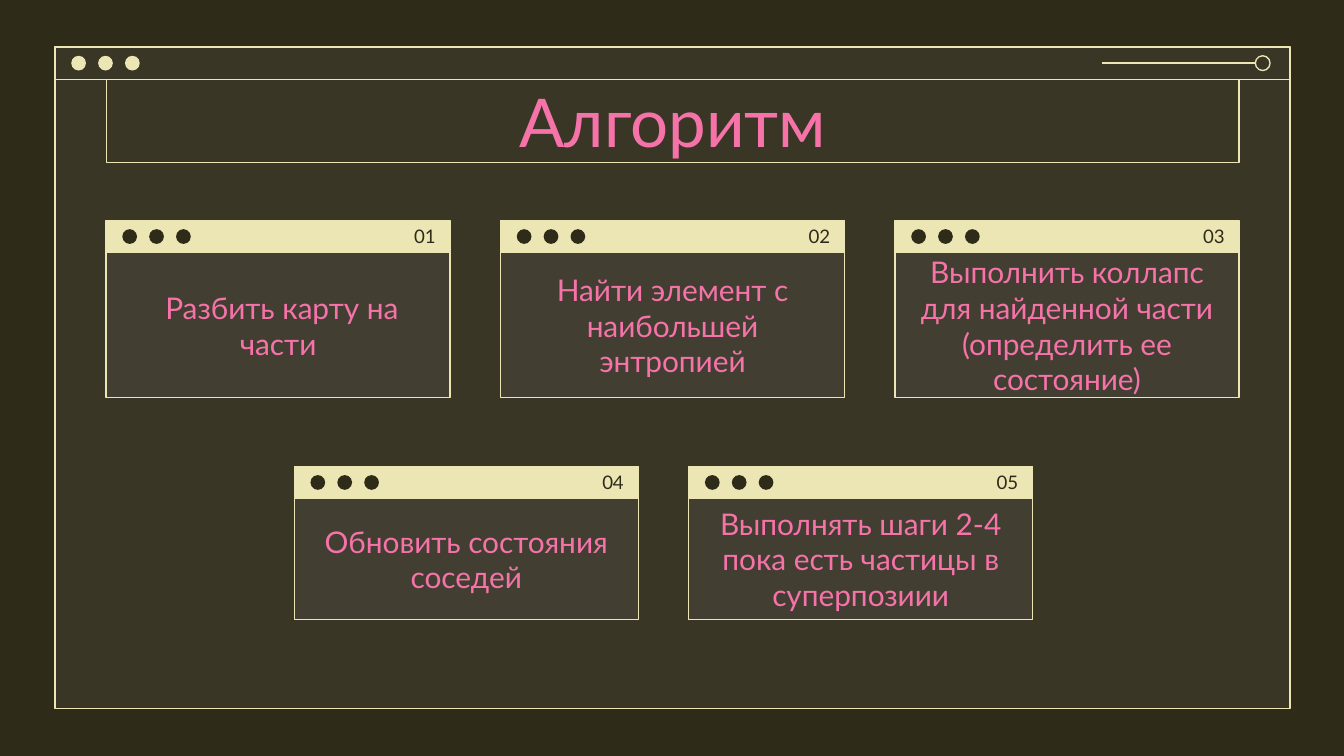
import pptx
import pptx.util
import pptx.dml.color
import pptx.enum.shapes
import pptx.enum.text
import pptx.oxml
import pptx.oxml.ns
from dataclasses import dataclass
from pptx.util import Inches

SHAPE = pptx.enum.shapes.MSO_SHAPE
ALIGN = pptx.enum.text.PP_ALIGN


@dataclass(frozen=True)
class Theme:
    dark: str = "2F2B19"
    cream: str = "ECE5B4"
    pink: str = "F673A9"
    veil: str = "7C7C7C"
    veil_opacity: int = 14
    font: str = "Lato"
    title_size: int = 36
    step_size: int = 16
    number_size: int = 10
    line: float = 0.75


THEME = Theme()

# Layout in inches
BAR = 0.24
DOT, DOT_PITCH, DOT_INSET = 0.11, 0.2, 0.12
CONTENT_LEFT, CONTENT_WIDTH = 0.79, 8.43
CARD_WIDTH = 2.56
CARD_PITCH = (CONTENT_WIDTH - CARD_WIDTH) / 2
NUMBER_WIDTH = 1.39

# Each row: left, top, card height, step texts
ROWS = [
    (CONTENT_LEFT, 1.64, 1.32, [
        " Разбить карту на части",
        "Найти элемент с наибольшей энтропией",
        "Выполнить коллапс для найденной части (определить ее состояние)",
    ]),
    (2.19, 3.47, 1.14, [
        "Обновить состояния соседей",
        "Выполнять шаги 2-4 пока есть частицы в суперпозиии",
    ]),
]


def rgb(color):
    return pptx.dml.color.RGBColor.from_string(color)


def style_line(line, color):
    line.color.rgb = rgb(color)
    line.width = pptx.util.Pt(THEME.line)


def add_block(slide, kind, left, top, width, height, fill=None, line=None):
    block = slide.shapes.add_shape(
        kind, Inches(left), Inches(top), Inches(width), Inches(height))
    block.shadow.inherit = False
    if fill:
        block.fill.solid()
        block.fill.fore_color.rgb = rgb(fill)
    else:
        block.fill.background()
    if line:
        style_line(block.line, line)
    else:
        block.line.fill.background()
    return block


def add_veil(slide, left, top, width, height):
    veil = add_block(slide, SHAPE.RECTANGLE, left, top, width, height, THEME.veil)
    color = veil.element.spPr.find(".//" + pptx.oxml.ns.qn("a:srgbClr"))
    alpha = pptx.oxml.parse_xml(
        f'<a:alpha {pptx.oxml.ns.nsdecls("a")} val="{THEME.veil_opacity * 1000}"/>')
    color.append(alpha)


def add_dots(slide, window_left, bar_top, color):
    for i in range(3):
        add_block(slide, SHAPE.OVAL, window_left + DOT_INSET + i * DOT_PITCH,
                  bar_top + (BAR - DOT) / 2, DOT, DOT, color)


def write_text(holder, text, size, color, align=ALIGN.CENTER):
    frame = holder.text_frame
    frame.word_wrap = True
    frame.auto_size = pptx.enum.text.MSO_AUTO_SIZE.NONE
    frame.vertical_anchor = pptx.enum.text.MSO_ANCHOR.MIDDLE
    frame.margin_left = frame.margin_right = Inches(0.1)
    frame.margin_top = frame.margin_bottom = Inches(0.1)
    paragraph = frame.paragraphs[0]
    paragraph.alignment = align
    run = paragraph.add_run()
    run.text = text
    run.font.name = THEME.font
    run.font.size = pptx.util.Pt(size)
    run.font.color.rgb = rgb(color)


def add_window(slide):
    left, top, width, height = 0.41, 0.35, 9.19, 4.92
    add_veil(slide, left, top, width, height)
    for part_height in (height, BAR):
        add_block(slide, SHAPE.RECTANGLE, left, top, width, part_height,
                  line=THEME.cream)
    add_dots(slide, left, top, THEME.cream)

    # Slider at the right end of the bar
    knob_left, middle = 9.34, top + BAR / 2
    add_block(slide, SHAPE.OVAL, knob_left, middle - DOT / 2, DOT, DOT,
              line=THEME.cream)
    track = slide.shapes.add_connector(
        pptx.enum.shapes.MSO_CONNECTOR.STRAIGHT,
        Inches(8.2), Inches(middle), Inches(knob_left), Inches(middle))
    style_line(track.line, THEME.cream)
    track.element.spPr.append(pptx.oxml.parse_xml(
        f'<a:effectLst {pptx.oxml.ns.nsdecls("a")}/>'))


def add_card(slide, left, top, height, number, step):
    add_veil(slide, left, top, CARD_WIDTH, height)
    add_block(slide, SHAPE.RECTANGLE, left, top, CARD_WIDTH, BAR,
              THEME.cream, THEME.cream)
    add_dots(slide, left, top, THEME.dark)
    body = add_block(slide, SHAPE.RECTANGLE, left, top + BAR, CARD_WIDTH,
                     height - BAR, line=THEME.cream)
    write_text(body, step, THEME.step_size, THEME.pink)
    label = slide.shapes.add_textbox(
        Inches(left + CARD_WIDTH - NUMBER_WIDTH - 0.01), Inches(top),
        Inches(NUMBER_WIDTH), Inches(BAR))
    write_text(label, f"{number:02}", THEME.number_size, THEME.dark, ALIGN.RIGHT)


def set_title(slide, text):
    title = slide.shapes.title
    title.left, title.top = Inches(CONTENT_LEFT), Inches(0.59)
    title.width, title.height = Inches(CONTENT_WIDTH), Inches(0.62)
    style_line(title.line, THEME.cream)
    write_text(title, text, THEME.title_size, THEME.pink)
    # Bring the title in front of the translucent window
    slide.shapes.element.append(title.element)


def main():
    deck = pptx.Presentation()
    # Widescreen, 16:9
    deck.slide_width, deck.slide_height = Inches(10), Inches(10 * 9 / 16)
    slide = deck.slides.add_slide(deck.slide_layouts.get_by_name("Title Only"))
    slide.background.fill.solid()
    slide.background.fill.fore_color.rgb = rgb(THEME.dark)

    add_window(slide)

    # Algorithm steps, numbered across the rows
    number = 1
    for left, top, height, steps in ROWS:
        for column, step in enumerate(steps):
            add_card(slide, left + column * CARD_PITCH, top, height, number, step)
            number += 1

    set_title(slide, "Алгоритм")
    deck.save("out.pptx")


if __name__ == "__main__":
    main()
